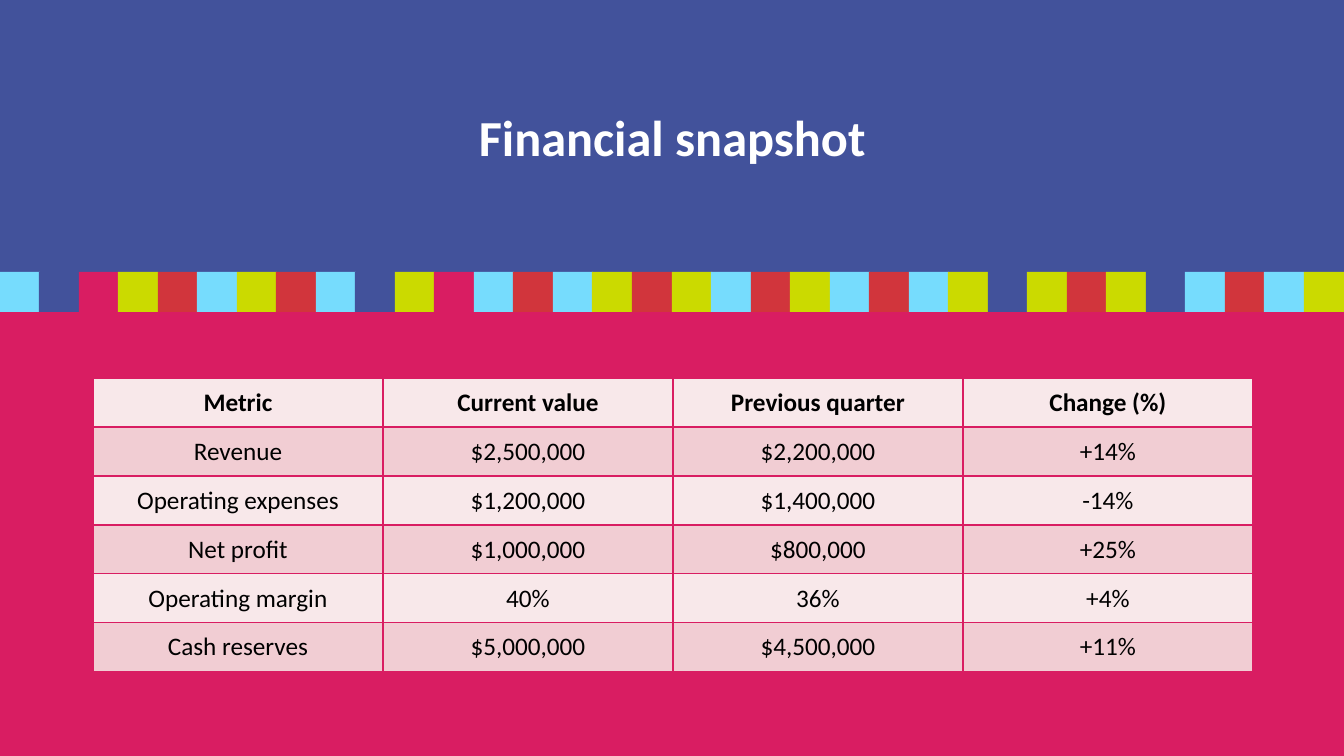
from lxml import etree
from pptx import Presentation
from pptx import util as u
from pptx.dml.color import RGBColor
from pptx.enum import shapes, text
from pptx.oxml.ns import qn

HUES = {"blue": "42529B", "pink": "D91D62", "sky": "76DCFD", "lime": "CBDA00",
        "red": "D1353C", "white": "FFFFFF", "black": "000000",
        "pale": "F8E8EA", "rose": "F1CDD3"}
KEYS = {"b": "blue", "p": "pink", "c": "sky", "l": "lime", "r": "red"}
TILES = "cbplrclrcblpcrclrlcrlcrclblrlbcrcl"
ROWS = [
    ("Metric", "Current value", "Previous quarter", "Change (%)"),
    ("Revenue", "$2,500,000", "$2,200,000", "+14%"),
    ("Operating expenses", "$1,200,000", "$1,400,000", "-14%"),
    ("Net profit", "$1,000,000", "$800,000", "+25%"),
    ("Operating margin", "40%", "36%", "+4%"),
    ("Cash reserves", "$5,000,000", "$4,500,000", "+11%"),
]
WIDE, HIGH = 1344, 756


def px(num):
    return u.Emu(round(num * 914400 / 100.8))


def tint(fill, hue):
    fill.solid()
    fill.fore_color.rgb = RGBColor.from_string(HUES[hue])


class Deck:
    """Holds the style and the current slide."""

    def __init__(self, font, back):
        self.font = font
        self.prs = Presentation()
        self.prs.slide_width, self.prs.slide_height = px(WIDE), px(HIGH)
        self.slide = self.prs.slides.add_slide(self.prs.slide_layouts[5])
        tint(self.slide.background.fill, back)

    def label(self, frame, words, size, hue, bold):
        frame.text = words
        para = frame.paragraphs[0]
        para.alignment = text.PP_ALIGN.CENTER
        font = para.runs[0].font
        font.name, font.size, font.bold = self.font, u.Pt(size), bold
        font.color.rgb = RGBColor.from_string(HUES[hue])
        return para

    def title(self, words, left, top, width, height):
        box = self.slide.shapes.title
        box.left, box.top, box.width, box.height = map(px, (left, top, width, height))
        frame = box.text_frame
        frame.margin_left = frame.margin_right = 0
        frame.margin_top = frame.margin_bottom = 0
        frame.vertical_anchor = text.MSO_ANCHOR.MIDDLE
        self.label(frame, words, 36, "white", True).line_spacing = 0.9

    def rect(self, hue, left, top, width, height):
        box = self.slide.shapes.add_shape(
            shapes.MSO_SHAPE.RECTANGLE, *map(px, (left, top, width, height)))
        box.shadow.inherit = False
        tint(box.fill, hue)
        box.line.fill.background()

    def edge(self, cell, hue):
        props = cell._tc.get_or_add_tcPr()
        for side in ("a:lnL", "a:lnR", "a:lnT", "a:lnB"):
            line = etree.SubElement(props, qn(side), w=str(u.Pt(1)))
            fill = etree.SubElement(line, qn("a:solidFill"))
            etree.SubElement(fill, qn("a:srgbClr"), val=HUES[hue])

    def table(self, rows, left, top, wide, high):
        count = len(rows[0])
        grid = self.slide.shapes.add_table(
            len(rows), count,
            *map(px, (left, top, wide * count, high * len(rows)))).table
        for col in grid.columns:
            col.width = px(wide)
        for r, row in enumerate(rows):
            grid.rows[r].height = px(high)
            for c, words in enumerate(row):
                cell = grid.cell(r, c)
                cell.vertical_anchor = text.MSO_ANCHOR.MIDDLE
                self.edge(cell, "pink")
                tint(cell.fill, "rose" if r % 2 else "pale")
                self.label(cell.text_frame, words, 18, "black", r == 0)


def main():
    deck = Deck("Calibri", "blue")
    deck.rect("pink", 0, 282, WIDE, HIGH - 282)
    for i, key in enumerate(TILES):
        deck.rect(KEYS[key], i * WIDE // len(TILES), 272, 40, 40)
    deck.title("Financial snapshot", 93, 60, 1159, 161)
    deck.table(ROWS, 93, 378, 290, 49)
    deck.prs.save("out.pptx")


if __name__ == "__main__":
    main()
